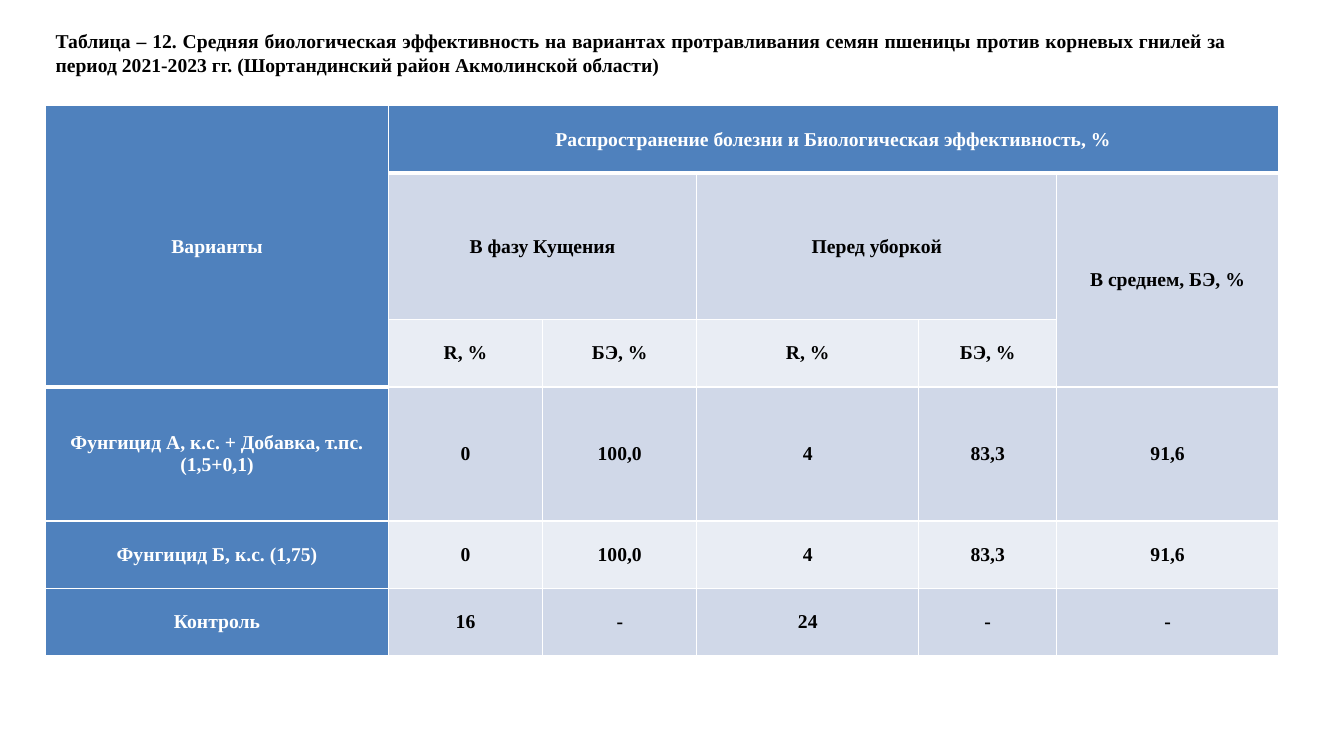
"""Builds a slide with a table of seed treatment efficacy against wheat root rot."""
from dataclasses import dataclass

from lxml.etree import SubElement
from pptx import Presentation
from pptx.dml.color import RGBColor
from pptx.enum.text import MSO_ANCHOR, MSO_AUTO_SIZE, PP_ALIGN
from pptx.oxml.ns import qn
from pptx.table import Table, _Cell
from pptx.text.text import TextFrame
from pptx.util import Inches, Pt

SLIDE_WIDTH, SLIDE_HEIGHT = Inches(13.33), Inches(7.5)
FONT = "Times New Roman"
COLORS = {
    "header": "4F81BD",
    "dark_band": "D0D8E8",
    "light_band": "E9EDF4",
    "light_text": "FFFFFF",
    "dark_text": "000000",
    "rule": "FFFFFF",
}
CAPTION = (
    "Таблица – 12. Средняя биологическая эффективность на вариантах протравливания "
    "семян пшеницы против корневых гнилей за период 2021-2023 гг. "
    "(Шортандинский район Акмолинской области)"
)
COLUMN_PERCENTS = (25.5, 11.48, 11.48, 16.5, 10.28, 16.5)
ROW_PERCENTS = (8.93, 19.33, 8.93, 17.73, 8.93, 8.93)
RESULTS = (
    ("Фунгицид А, к.с. + Добавка, т.пс. (1,5+0,1)", "0", "100,0", "4", "83,3", "91,6"),
    ("Фунгицид Б, к.с. (1,75)", "0", "100,0", "4", "83,3", "91,6"),
    ("Контроль", "16", "-", "24", "-", "-"),
)


@dataclass(frozen=True)
class Entry:
    """Text of a table cell with its grid place and span."""

    row: int
    column: int
    text: str
    rows: int = 1
    columns: int = 1


HEADINGS = (
    Entry(0, 0, "Варианты", rows=3),
    Entry(0, 1, "Распространение болезни и Биологическая эффективность, %", columns=5),
    Entry(1, 1, "В фазу Кущения", columns=2),
    Entry(1, 3, "Перед уборкой", columns=2),
    Entry(1, 5, "В среднем, БЭ, %", rows=2),
    *(Entry(2, 1 + i, label) for i, label in enumerate(("R, %", "БЭ, %") * 2)),
)
FINDINGS = tuple(
    Entry(row, column, text)
    for row, result in enumerate(RESULTS, start=3)
    for column, text in enumerate(result)
)


def across(percent: float) -> int:
    """Return a percentage of the slide width."""
    return round(SLIDE_WIDTH * percent / 100)


def down(percent: float) -> int:
    """Return a percentage of the slide height."""
    return round(SLIDE_HEIGHT * percent / 100)


def write(frame: TextFrame, text: str, color: str, alignment: PP_ALIGN) -> None:
    """Put one bold paragraph into a text frame."""
    frame.word_wrap = True
    paragraph = frame.paragraphs[0]
    paragraph.text = text
    paragraph.alignment = alignment
    paragraph.font.name = FONT
    paragraph.font.size = Pt(14)
    paragraph.font.bold = True
    paragraph.font.color.rgb = RGBColor.from_string(COLORS[color])


def rule_cell(cell: _Cell, top: float, bottom: float) -> None:
    """Draw the four borders of a cell."""
    properties = cell._tc.get_or_add_tcPr()
    for tag, width in (("a:lnL", 1), ("a:lnR", 1), ("a:lnT", top), ("a:lnB", bottom)):
        border = SubElement(properties, qn(tag), w=str(Pt(width)))
        fill = SubElement(border, qn("a:solidFill"))
        SubElement(fill, qn("a:srgbClr"), val=COLORS["rule"])


def style_cell(cell: _Cell, row: int, column: int) -> None:
    """Give a cell its borders, band colour and margins."""
    thick_top = (row == 1 and column > 0) or (row == 3 and column == 0)
    thick_bottom = (row == 0 and column > 0) or (row == 2 and column == 0)
    rule_cell(cell, 3 if thick_top else 1, 3 if thick_bottom else 1)
    band = "dark_band" if row % 2 else "light_band"
    shade = "header" if row == 0 or column == 0 else band
    cell.fill.solid()
    cell.fill.fore_color.rgb = RGBColor.from_string(COLORS[shade])
    cell.vertical_anchor = MSO_ANCHOR.MIDDLE
    cell.margin_left = cell.margin_right = Inches(0.07)
    cell.margin_top = cell.margin_bottom = 0


def fill_entry(table: Table, entry: Entry) -> None:
    """Write an entry and merge the cells it spans."""
    cell = table.cell(entry.row, entry.column)
    if entry.rows * entry.columns > 1:
        cell.merge(table.cell(entry.row + entry.rows - 1, entry.column + entry.columns - 1))
    heading = entry.row == 0 or entry.column == 0
    write(cell.text_frame, entry.text, "light_text" if heading else "dark_text", PP_ALIGN.CENTER)


def add_efficacy(slide) -> None:
    """Add the efficacy table."""
    table = slide.shapes.add_table(
        len(ROW_PERCENTS), len(COLUMN_PERCENTS), across(3.4), down(14),
        across(sum(COLUMN_PERCENTS)), down(sum(ROW_PERCENTS)),
    ).table
    for column, percent in zip(table.columns, COLUMN_PERCENTS):
        column.width = across(percent)
    for row, percent in zip(table.rows, ROW_PERCENTS):
        row.height = down(percent)
    for row in range(len(ROW_PERCENTS)):
        for column in range(len(COLUMN_PERCENTS)):
            style_cell(table.cell(row, column), row, column)
    for entry in HEADINGS + FINDINGS:
        fill_entry(table, entry)


def add_caption(slide) -> None:
    """Add the caption above the table."""
    frame = slide.shapes.add_textbox(across(3.4), down(3.2), across(88.6), down(7.6)).text_frame
    frame.vertical_anchor = MSO_ANCHOR.MIDDLE
    frame.auto_size = MSO_AUTO_SIZE.SHAPE_TO_FIT_TEXT
    write(frame, CAPTION, "dark_text", PP_ALIGN.JUSTIFY)


def main() -> None:
    """Build and save the presentation."""
    presentation = Presentation()
    presentation.slide_width, presentation.slide_height = SLIDE_WIDTH, SLIDE_HEIGHT
    slide = presentation.slides.add_slide(presentation.slide_layouts[6])
    add_efficacy(slide)
    add_caption(slide)
    presentation.save("out.pptx")


if __name__ == "__main__":
    main()
